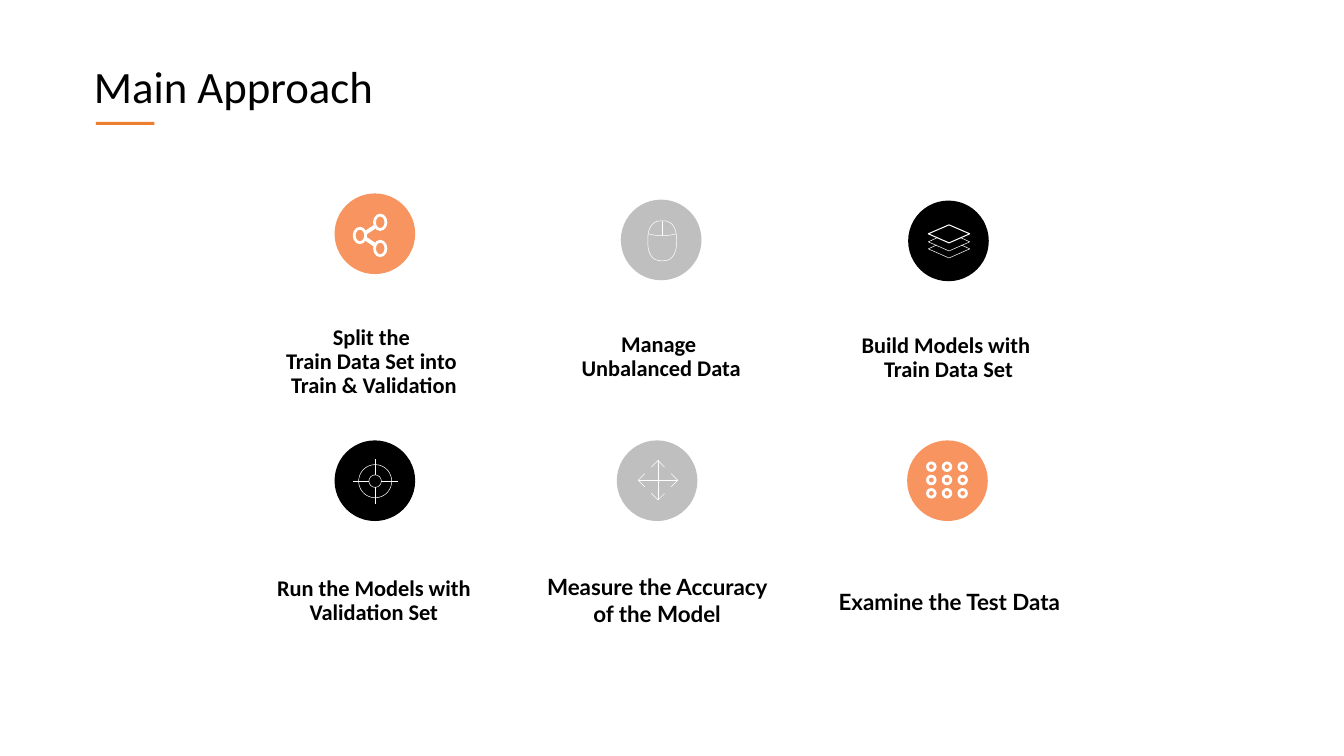
from math import copysign, cos, pi, sin

from pptx import Presentation
from pptx.dml.color import RGBColor
from pptx.enum.shapes import MSO_CONNECTOR, MSO_SHAPE
from pptx.enum.text import MSO_ANCHOR, PP_ALIGN
from pptx.oxml.xmlchemy import OxmlElement
from pptx.util import Pt

COLORS = {
    "black": "000000",
    "white": "FFFFFF",
    "gray": "BFBFBF",
    "orange": "F7945F",
    "accent": "ED7D31",
}
HAIRLINE = 0.37

presentation = Presentation()
presentation.slide_width = Pt(960)
presentation.slide_height = Pt(540)
slide = presentation.slides.add_slide(presentation.slide_layouts[5])
shapes = slide.shapes


def add_filled(preset, left, top, width, height, color):
    filled = shapes.add_shape(preset, Pt(left), Pt(top), Pt(width), Pt(height))
    filled.shadow.inherit = False
    filled.fill.solid()
    filled.fill.fore_color.rgb = RGBColor.from_string(COLORS[color])
    filled.line.fill.background()
    return filled


def add_stroke(points, weight=HAIRLINE, close=False):
    corners = [(Pt(x), Pt(y)) for x, y in points]
    if len(corners) == 2:
        stroke = shapes.add_connector(MSO_CONNECTOR.STRAIGHT, *corners[0], *corners[1])
    else:
        builder = shapes.build_freeform(*corners[0])
        builder.add_line_segments(corners[1:], close=close)
        stroke = builder.convert_to_shape()
        stroke.fill.background()
    stroke.line.color.rgb = RGBColor.from_string(COLORS["white"])
    stroke.line.width = Pt(weight)
    stroke._element.spPr.append(OxmlElement("a:effectLst"))


frame_format = {
    "margin_left": 0,
    "margin_top": 0,
    "margin_right": 0,
    "margin_bottom": 0,
    "word_wrap": True,
}

heading = shapes.title
heading_place = {"left": Pt(67), "top": Pt(41.8), "width": Pt(213), "height": Pt(39)}
for attribute, value in heading_place.items():
    setattr(heading, attribute, value)
heading_frame = heading.text_frame
heading_frame.text = "Main Approach"
heading_format = {**frame_format, "word_wrap": False, "vertical_anchor": MSO_ANCHOR.MIDDLE}
for attribute, value in heading_format.items():
    setattr(heading_frame, attribute, value)
heading_frame.paragraphs[0].alignment = PP_ALIGN.LEFT
heading_font = heading_frame.paragraphs[0].font
for attribute, value in {"name": "Calibri", "size": Pt(32), "bold": False}.items():
    setattr(heading_font, attribute, value)
heading_font.color.rgb = RGBColor.from_string(COLORS["black"])
add_filled(MSO_SHAPE.RECTANGLE, 68.4, 87.1, 41.8, 2.2, "accent")

steps = [
    ("Split the \nTrain Data Set into \nTrain & Validation", 187.9, 232.6, 51.8, "Calibri", 17.3),
    ("Manage \nUnbalanced Data", 393.1, 237.6, 34.6, "Calibri", 17.3),
    ("Build Models with \nTrain Data Set", 598.3, 238.3, 34.6, "Calibri", 17.3),
    ("Run the Models with Validation Set", 187.9, 411.8, 34.6, "Calibri", 17.3),
    ("Measure the Accuracy of the Model", 390.2, 409.7, 38.9, "Lato", None),
    ("Examine the Test Data", 599, 419.8, 19.4, "Lato", None),
]
for wording, left, top, height, typeface, spacing in steps:
    caption = shapes.add_textbox(Pt(left), Pt(top), Pt(158.4), Pt(height)).text_frame
    caption.text = wording
    for attribute, value in frame_format.items():
        setattr(caption, attribute, value)
    for paragraph in caption.paragraphs:
        paragraph.alignment = PP_ALIGN.CENTER
        if spacing:
            paragraph.line_spacing = Pt(spacing)
        font_format = {"name": typeface, "size": Pt(16), "bold": True}
        for attribute, value in font_format.items():
            setattr(paragraph.font, attribute, value)
        paragraph.font.color.rgb = RGBColor.from_string(COLORS["black"])

badges = [
    (239, 138.2, "orange"),
    (443.5, 142.6, "gray"),
    (648.7, 143.3, "black"),
    (239, 314.6, "black"),
    (440.6, 314.6, "gray"),
    (648, 314.6, "orange"),
]
for left, top, color in badges:
    add_filled(MSO_SHAPE.OVAL, left, top, 57.6, 57.6, color)

for left, top in [(252, 162), (266.5, 152.6), (266.5, 171.3)]:
    share_node = add_filled(MSO_SHAPE.DONUT, left, top, 10.2, 12.4, "white")
    share_node.adjustments[0] = 0.2
for node_y, branch_y in [(166.4, 162), (170.4, 174.8)]:
    add_stroke([(261, node_y), (267.6, branch_y)], 2.8)

mouse_x, mouse_y = 473, 172
mouse_body = []
for degree in range(0, 360, 5):
    across, down = cos(degree * pi / 180), sin(degree * pi / 180)
    mouse_body.append((
        mouse_x + 10.3 * copysign(abs(across) ** 0.8, across),
        mouse_y + 14.3 * copysign(abs(down) ** 0.8, down),
    ))
add_stroke(mouse_body, close=True)
add_stroke([(mouse_x, 157.7), (mouse_x, 168.4)])
add_stroke([(mouse_x + x, 168.4 - 0.014 * x * x) for x in range(-10, 11)])

layer_x = 677.9
add_stroke(
    [(layer_x, 160.6), (layer_x - 14.8, 167), (layer_x, 173.5), (layer_x + 14.8, 167)],
    0.75,
    True,
)
for tip_y in [172.8, 177.8]:
    add_stroke([
        (layer_x + 8.8, tip_y - 2.8),
        (layer_x + 14.8, tip_y),
        (layer_x, tip_y + 6.5),
        (layer_x - 14.8, tip_y),
        (layer_x - 8.8, tip_y - 2.8),
    ])

target_x, target_y = 268, 343.7
for radius in [11.8, 4.4]:
    add_stroke([
        (target_x + radius * cos(degree * pi / 180), target_y + radius * sin(degree * pi / 180))
        for degree in range(0, 360, 5)
    ], close=True)

move_x, move_y = 470, 343
for across, down in [(1, 0), (0, 1), (-1, 0), (0, -1)]:
    add_stroke([
        (target_x + reach * across, target_y + reach * down) for reach in (4.4, 16)
    ])
    tip = (move_x + 14.1 * across, move_y + 14.1 * down)
    for side in [-4.7, 4.7]:
        add_stroke([
            tip,
            (tip[0] - 4.7 * across + side * down, tip[1] - 4.7 * down + side * across),
        ])
add_stroke([(move_x - 14.1, move_y), (move_x + 14.1, move_y)])
add_stroke([(move_x, move_y - 14.1), (move_x, move_y + 14.1)])

for row in range(3):
    for column in range(3):
        keypad_dot = add_filled(
            MSO_SHAPE.DONUT, 661.5 + 11.2 * column, 329.6 + 9.5 * row, 7.5, 7.5, "white"
        )
        keypad_dot.adjustments[0] = 0.27

presentation.save("out.pptx")
